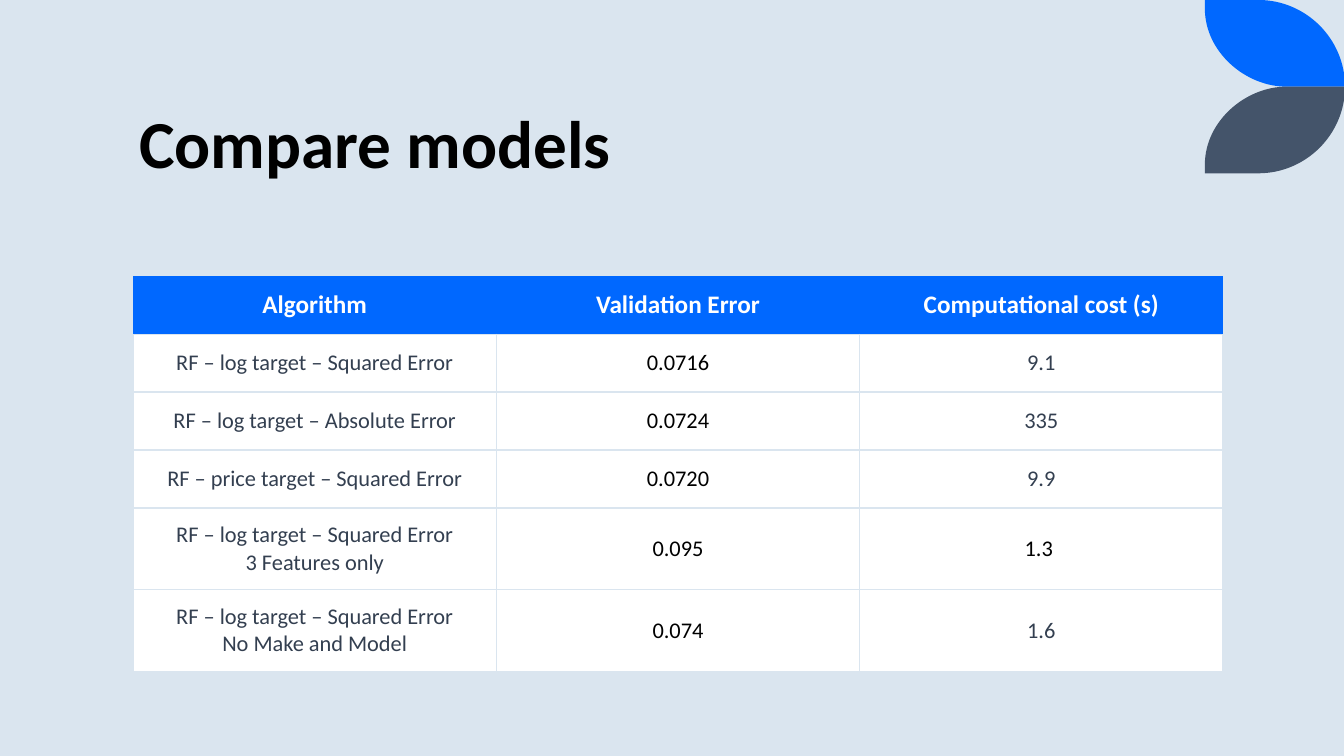
from lxml.etree import SubElement as Sub
from pptx import Presentation
from pptx.dml.color import RGBColor as RGB
from pptx.enum.text import MSO_ANCHOR as Anchor, PP_ALIGN as Align
from pptx.oxml.ns import qn
from pptx.util import Inches, Pt

HUES = {"back": "DAE5EF", "blue": "0068FF", "slate": "44546A",
        "ink": "333F50", "black": "000000", "white": "FFFFFF"}
FONT = "Calibri"
HEADS = ["Algorithm", "Validation Error", "Computational cost (s)"]
ROWS = [
    ("RF – log target – Squared Error", "0.0716", "9.1"),
    ("RF – log target – Absolute Error", "0.0724", "335"),
    ("RF – price target – Squared Error", "0.0720", "9.9"),
    ("RF – log target – Squared Error\n3 Features only", "0.095", "1.3 "),
    ("RF – log target – Squared Error\nNo Make and Model", "0.074", "1.6"),
]
FAST = (4, 2)  # cell with the lowest cost, set in black
TALL = 0.81  # height of a row with two lines


def hue(name):
    return RGB.from_string(HUES[name])


def paint(fill, name):
    fill.solid()
    fill.fore_color.rgb = hue(name)


def style(frame, size, color, bold=False, align=None):
    looks = {"name": FONT, "size": Pt(size), "bold": bold}
    for para in frame.paragraphs:
        para.alignment = align
        for run in para.runs:
            for key, value in looks.items():
                setattr(run.font, key, value)
            run.font.color.rgb = hue(color)


def bend(shape, starts):
    """Turn three line steps from each start into one Bezier curve."""
    steps = list(shape._element.iter(qn("a:lnTo")))
    for start in starts:
        curve = steps[start]
        curve.tag = qn("a:cubicBezTo")
        for step in steps[start + 1:start + 3]:
            curve.append(step[0])
            step.getparent().remove(step)


def add_leaf(slide, box, color, flip=False):
    """Straight edge, outer curve, straight edge, inner curve."""
    left, top, width, height = box
    rad = height
    dots = [(0, 0), (width - rad, 0),
            (width - 0.45 * rad, 0), (width, 0.45 * rad), (width, rad),
            (0.94 * rad, rad),
            (0.47 * rad, rad), (0, 0.6 * rad), (0, 0.1 * rad)]
    spots = [(Inches(left + x), Inches(top + (height - y if flip else y)))
             for x, y in dots]
    pen = slide.shapes.build_freeform(*spots[0])
    pen.add_line_segments(spots[1:], close=True)
    leaf = pen.convert_to_shape()
    bend(leaf, (1, 5))
    leaf.shadow.inherit = False
    paint(leaf.fill, color)
    leaf.line.fill.background()


def add_leaves(slide, box):
    left, top, width, height = box
    half = height / 2
    add_leaf(slide, (left, top, width, half), "blue")
    add_leaf(slide, (left, top + half, width, half), "slate", flip=True)


def add_title(slide, box, text):
    title = slide.shapes.title
    for key, value in zip(("left", "top", "width", "height"), box):
        setattr(title, key, Inches(value))
    frame = title.text_frame
    frame.text = text
    frame.word_wrap = True
    frame.vertical_anchor = Anchor.BOTTOM
    style(frame, 48, "black", True, Align.LEFT)
    frame.paragraphs[0].line_spacing = 0.9


def edge(cell, sides):
    """Draw the named sides and clear the others."""
    props = cell._tc.get_or_add_tcPr()
    for side in "LRTB":
        line = Sub(props, qn("a:ln" + side), w=str(Pt(1)))
        if side in sides:
            fill = Sub(line, qn("a:solidFill"))
            Sub(fill, qn("a:srgbClr"), val=HUES["back"])
        else:
            Sub(line, qn("a:noFill"))


def add_grid(slide, box):
    left, top, width, height = map(Inches, box)
    lines = [HEADS] + ROWS
    tall = [texts for texts in lines if "\n" in texts[0]]
    low = (box[3] - TALL * len(tall)) / (len(lines) - len(tall))
    grid = slide.shapes.add_table(len(lines), len(HEADS),
                                  left, top, width, height).table
    grid.horz_banding = False
    for col in grid.columns:
        col.width = width // len(HEADS)
    for r, texts in enumerate(lines):
        grid.rows[r].height = Inches(TALL if texts in tall else low)
        for c, text in enumerate(texts):
            cell = grid.cell(r, c)
            cell.text = text
            cell.vertical_anchor = Anchor.MIDDLE
            edge(cell, "LRTB" if r else "B")
            paint(cell.fill, "white" if r else "blue")
            dark = c == 1 or (r, c) == FAST
            size, color = (16, "black" if dark else "ink") if r else (18, "white")
            style(cell.text_frame, size, color, r == 0, Align.CENTER)


def compare_slide(deck):
    slide = deck.slides.add_slide(deck.slide_layouts[5])
    paint(slide.background.fill, "back")
    add_leaves(slide, (11.95, 0, 1.39, 1.72))
    add_title(slide, (1.28, 0.42, 10.69, 1.45), "Compare models")
    add_grid(slide, (1.32, 2.74, 10.81, 3.92))


deck = Presentation()
deck.slide_width, deck.slide_height = Inches(13.33), Inches(7.5)
compare_slide(deck)
deck.save("out.pptx")
